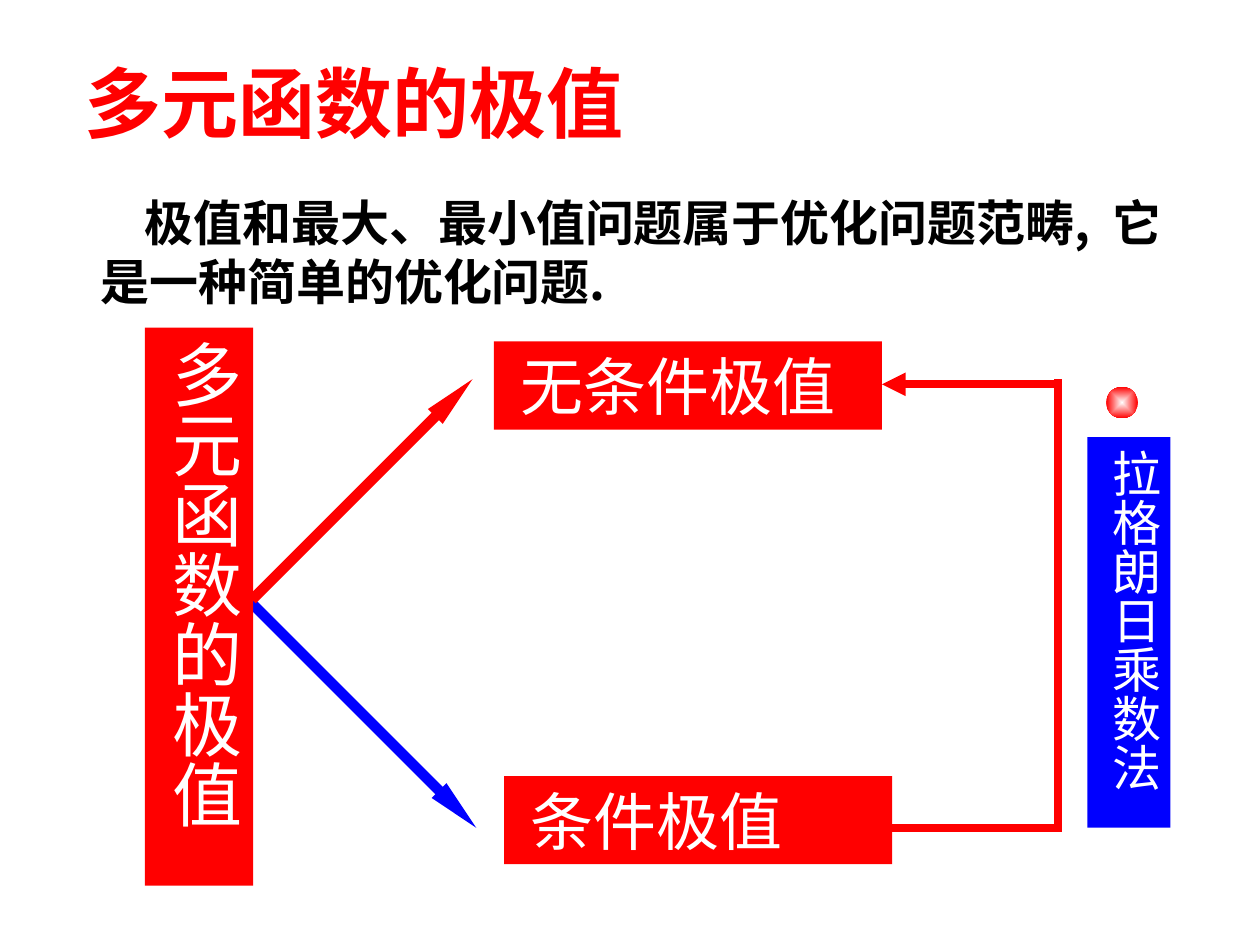
from pptx import Presentation
from pptx.dml.color import RGBColor
from pptx.enum.shapes import MSO_CONNECTOR as Connector, MSO_SHAPE as Preset
from pptx.enum.text import MSO_ANCHOR as Anchor, PP_ALIGN as Align
from pptx.oxml import parse_xml
from pptx.oxml.ns import nsdecls
from pptx.util import Inches, Pt

RED = RGBColor(0xFF, 0x00, 0x00)
BLUE = RGBColor(0x00, 0x00, 0xFF)
WHITE = RGBColor(0xFF, 0xFF, 0xFF)
BLACK = RGBColor(0x00, 0x00, 0x00)
HEADING_FONT = "Noto Sans CJK SC"
LABEL_FONT = "Times New Roman"
PLAIN_HEAD = {"type": "triangle"}
SLIM_HEAD = {"type": "triangle", "w": "sm", "len": "lg"}


def drawing_element(tag, content="", **attributes):
    """Return a DrawingML element with the given inner XML and attributes."""
    element = parse_xml(f"<a:{tag} {nsdecls('a')}>{content}</a:{tag}>")
    for name, value in attributes.items():
        element.set(name, value)
    return element


def write_text(shape, text, size, color, font_name, bold=False, vertical=False):
    """Write one run from the top of a shape and return its paragraph."""
    frame = shape.text_frame
    frame.word_wrap = True
    frame.vertical_anchor = Anchor.TOP
    across, along = (0.05, 0.1) if vertical else (0.1, 0.05)
    frame.margin_left = frame.margin_right = Inches(across)
    frame.margin_top = frame.margin_bottom = Inches(along)
    if vertical:
        frame._txBody.bodyPr.set("vert", "eaVert")
    paragraph = frame.paragraphs[0]
    paragraph.alignment = Align.CENTER if vertical else Align.LEFT
    run = paragraph.add_run()
    run.text = text
    run.font.size = Pt(size)
    run.font.bold = bold
    run.font.name = font_name
    run.font.color.rgb = color
    return paragraph


def add_title(slide, text):
    """Place and fill the slide title."""
    title = slide.shapes.title
    title.left, title.top = Inches(0.57), Inches(0.39)
    title.width, title.height = Inches(5), Inches(0.84)
    write_text(title, text, 44, RED, HEADING_FONT, bold=True)


def add_introduction(slide, text):
    """Add the introductory paragraph with an indented first line."""
    box = slide.shapes.add_textbox(Inches(0.7), Inches(1.48), Inches(8.83), Inches(1.04))
    paragraph = write_text(box, text, 28, BLACK, HEADING_FONT, bold=True)
    paragraph._p.get_or_add_pPr().set("indent", str(Inches(0.35)))


def add_shape(slide, preset, left, top, width, height):
    """Add a preset shape without outline or shadow."""
    shape = slide.shapes.add_shape(
        preset, Inches(left), Inches(top), Inches(width), Inches(height)
    )
    shape.shadow.inherit = False
    shape.line.fill.background()
    return shape


def add_label(slide, text, place, size, color=RED, vertical=False):
    """Add a filled rectangle with white text."""
    shape = add_shape(slide, Preset.RECTANGLE, *place)
    shape.fill.solid()
    shape.fill.fore_color.rgb = color
    write_text(shape, text, size, WHITE, LABEL_FONT, vertical=vertical)


def add_line(slide, start, end, width, color=RED, head=None):
    """Add a straight line, optionally with an arrowhead at its end."""
    points = [Inches(value) for value in (*start, *end)]
    connector = slide.shapes.add_connector(Connector.STRAIGHT, *points)
    connector.line.width = Pt(width)
    connector.line.color.rgb = color
    if head:
        connector.line._get_or_add_ln().append(drawing_element("tailEnd", **head))
    connector._element.spPr.append(drawing_element("effectLst"))


def add_bead(slide):
    """Add the round marker shaded from a white centre to a red rim."""
    bead = add_shape(slide, Preset.OVAL, 8.78, 3.07, 0.25, 0.25)
    bead.fill.gradient()
    for stop, color in zip(bead.fill.gradient_stops, (WHITE, RED)):
        stop.color.rgb = color
    gradient = bead._element.spPr.find(
        "{http://schemas.openxmlformats.org/drawingml/2006/main}gradFill"
    )
    center = '<a:fillToRect l="50000" t="50000" r="50000" b="50000"/>'
    gradient.replace(gradient[1], drawing_element("path", center, path="rect"))


def main():
    """Build the slide on extrema of multivariable functions."""
    presentation = Presentation()
    presentation.slide_width, presentation.slide_height = Inches(10), Inches(7.5)
    slide = presentation.slides.add_slide(presentation.slide_layouts[5])

    add_title(slide, "多元函数的极值")
    add_line(slide, (1.95, 4.74), (3.78, 6.57), 6, BLUE, head=SLIM_HEAD)
    add_introduction(slide, "极值和最大、最小值问题属于优化问题范畴,  它是一种简单的优化问题.")
    add_label(slide, "多元函数的极值", (1.15, 2.6, 0.86, 4.43), 40, vertical=True)
    add_line(slide, (2, 4.76), (3.75, 3.01), 6, head=SLIM_HEAD)
    add_label(slide, " 无条件极值", (3.92, 2.71, 3.08, 0.7), 36)
    add_label(slide, " 条件极值", (4, 6.16, 3.08, 0.7), 36)

    add_line(slide, (7.08, 6.57), (8.42, 6.57), 4.5)
    add_line(slide, (8.4, 6.6), (8.4, 3.01), 4.5)
    add_line(slide, (8.42, 3.05), (7, 3.05), 4.5, head=PLAIN_HEAD)
    add_label(slide, "拉格朗日乘数法", (8.63, 3.47, 0.66, 3.1), 28, BLUE, vertical=True)
    add_bead(slide)

    presentation.save("out.pptx")


if __name__ == "__main__":
    main()
